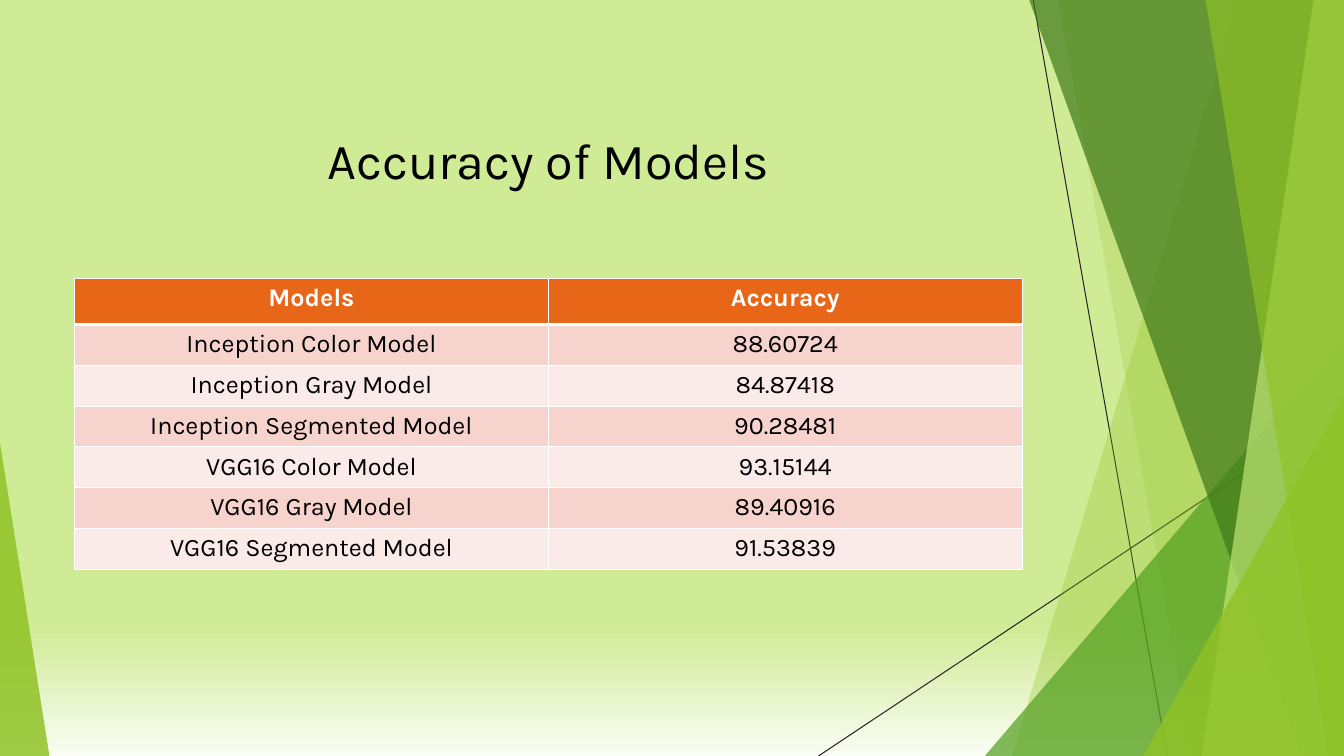
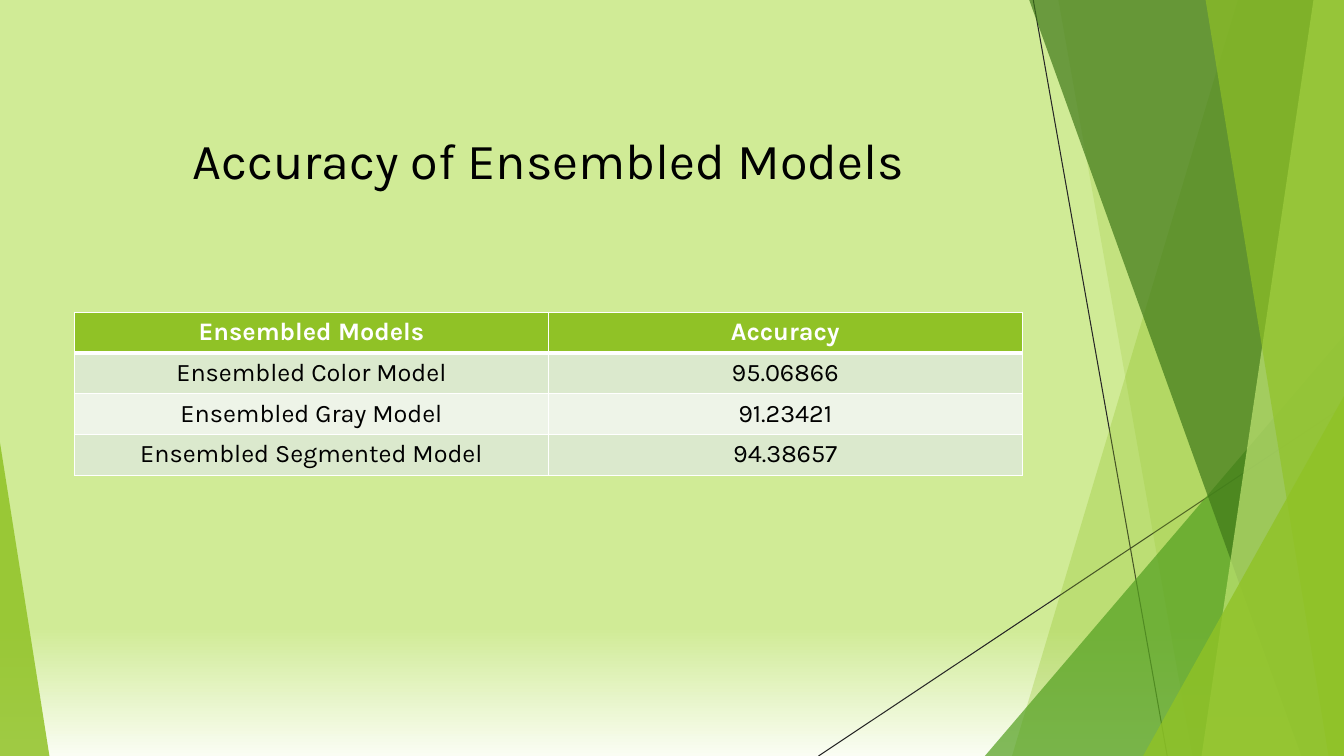
from lxml import etree
from pptx import Presentation
from pptx.dml.color import RGBColor
from pptx.enum.shapes import MSO_CONNECTOR, MSO_SHAPE
from pptx.enum.text import MSO_ANCHOR, PP_ALIGN
from pptx.oxml.ns import qn
from pptx.util import Inches, Pt

LINE = MSO_CONNECTOR.STRAIGHT
PEAK = MSO_SHAPE.ISOSCELES_TRIANGLE
TOP = MSO_ANCHOR.TOP
MID = PP_ALIGN.CENTER

WIDE, HIGH = Inches(13.33), Inches(7.5)
FONT = "Karla"
HUES = {
    "sky": "D0EB96", "mist": "FAFDF3",
    "lime": "90C226", "leaf": "54A021", "moss": "3F7819", "pale": "C0E474",
    "ink": "000000", "wire": "262626", "white": "FFFFFF",
    "rust": "E76618", "rose": "F6D3CC", "blush": "FAEAE8",
    "sage": "DBE9CD", "frost": "EEF4E8",
}

# Content column and rows, in percent of the slide
LEFT, SPAN = 5.55, 70.5
ROW = 5.4


def hue(name):
    return RGBColor.from_string(HUES[name])


def col(share):
    return round(WIDE * share / 100)


def row(share):
    return round(HIGH * share / 100)


# Text
def write(frame, text, size=18, color="ink", bold=False, align=MID):
    frame.word_wrap = True
    para = frame.paragraphs[0]
    para.text = text
    para.alignment = align
    font = para.font
    font.name, font.size, font.bold = FONT, Pt(size), bold
    font.color.rgb = hue(color)


def title(slide, text):
    box = slide.shapes.add_textbox(col(LEFT), row(16.4), col(SPAN), row(11.87))
    box.text_frame.vertical_anchor = TOP
    write(box.text_frame, text, size=36)


# Backdrop
def tint(shape, color, alpha):
    shape.shadow.inherit = False
    shape.fill.solid()
    shape.fill.fore_color.rgb = hue(color)
    tone = shape._element.spPr.find(".//" + qn("a:srgbClr"))
    etree.SubElement(tone, qn("a:alpha"), val=str(alpha * 1000))
    shape.line.fill.background()


def shard(slide, head, foot, color, alpha):
    """Full-height band from a slanted left edge to the right edge."""
    pen = slide.shapes.build_freeform(col(head), 0)
    pen.add_line_segments([(WIDE, 0), (WIDE, HIGH), (col(foot), HIGH)])
    tint(pen.convert_to_shape(), color, alpha)


def peak(slide, left, right, top, tip, color, alpha):
    """Triangle on the bottom edge, its tip at the left (0) or right (1)."""
    shape = slide.shapes.add_shape(
        PEAK, col(left), row(top), col(right - left), row(100 - top))
    shape.adjustments[0] = tip
    tint(shape, color, alpha)


def wire(slide, x1, y1, x2, y2):
    link = slide.shapes.add_connector(LINE, col(x1), row(y1), col(x2), row(y2))
    link.line.color.rgb = hue("wire")
    link.line.width = Pt(0.75)
    etree.SubElement(link._element.spPr, qn("a:effectLst"))


def backdrop(slide):
    fill = slide.background.fill
    fill.gradient()
    fill.gradient_angle = 270
    stops = zip(fill.gradient_stops, ((0.83, "sky"), (1, "mist")))
    for stop, (place, color) in stops:
        stop.position = place
        stop.color.rgb = hue(color)

    wire(slide, 76.88, 0, 86.85, 100)
    wire(slide, 100, 53.73, 60.9, 100)
    shard(slide, 92.1, 75.3, "lime", 30)
    shard(slide, 78.75, 88.73, "lime", 20)
    peak(slide, 73.28, 100, 44.4, 1, "leaf", 72)
    shard(slide, 76.58, 96.83, "moss", 70)
    shard(slide, 97.73, 89.4, "pale", 70)
    shard(slide, 89.7, 98.85, "lime", 65)
    peak(slide, 85.05, 100, 52.4, 1, "lime", 80)
    peak(slide, 0, 3.68, 58.53, 0, "lime", 85)


# Table
def edge(cell, top, base):
    sides = {"lnL": 1, "lnR": 1, "lnT": top, "lnB": base}
    props = cell._tc.get_or_add_tcPr()
    for side, width in sides.items():
        line = etree.SubElement(props, qn("a:" + side), w=str(Pt(width)))
        fill = etree.SubElement(line, qn("a:solidFill"))
        etree.SubElement(fill, qn("a:srgbClr"), val=HUES["white"])


def grid(slide, top, data, hues, head=ROW):
    """Table with a header of its own height and rows in two hues."""
    main, *bands = hues
    high = head + ROW * (len(data) - 1)
    table = slide.shapes.add_table(
        len(data), 2, col(LEFT), row(top), col(SPAN), row(high)).table
    for at, texts in enumerate(data):
        first = at == 0
        table.rows[at].height = row(head if first else ROW)
        for cell, text in zip(table.rows[at].cells, texts):
            edge(cell, top=3 if at == 1 else 1, base=3 if first else 1)
            cell.fill.solid()
            cell.fill.fore_color.rgb = hue(main if first else bands[(at - 1) % 2])
            cell.vertical_anchor = TOP
            write(cell.text_frame, text, bold=first,
                  color="white" if first else "ink")


def page(deck, text):
    slide = deck.slides.add_slide(deck.slide_layouts[6])
    backdrop(slide)
    title(slide, text)
    return slide


def main():
    deck = Presentation()
    deck.slide_width, deck.slide_height = WIDE, HIGH

    # Single models
    slide = page(deck, "Accuracy of Models")
    grid(slide, 36.8, [
        ("Models", "Accuracy"),
        ("Inception Color Model", "88.60724"),
        ("Inception Gray Model", "84.87418"),
        ("Inception Segmented Model", "90.28481"),
        ("VGG16 Color Model", "93.15144"),
        ("VGG16 Gray Model", "89.40916"),
        ("VGG16 Segmented Model", "91.53839"),
    ], ("rust", "rose", "blush"), head=6.13)

    # Ensembles
    slide = page(deck, "Accuracy of Ensembled Models")
    grid(slide, 41.3, [
        ("Ensembled Models", "Accuracy"),
        ("Ensembled Color Model", "95.06866"),
        ("Ensembled Gray Model", "91.23421"),
        ("Ensembled Segmented Model", "94.38657"),
    ], ("lime", "sage", "frost"))

    deck.save("out.pptx")


if __name__ == "__main__":
    main()
